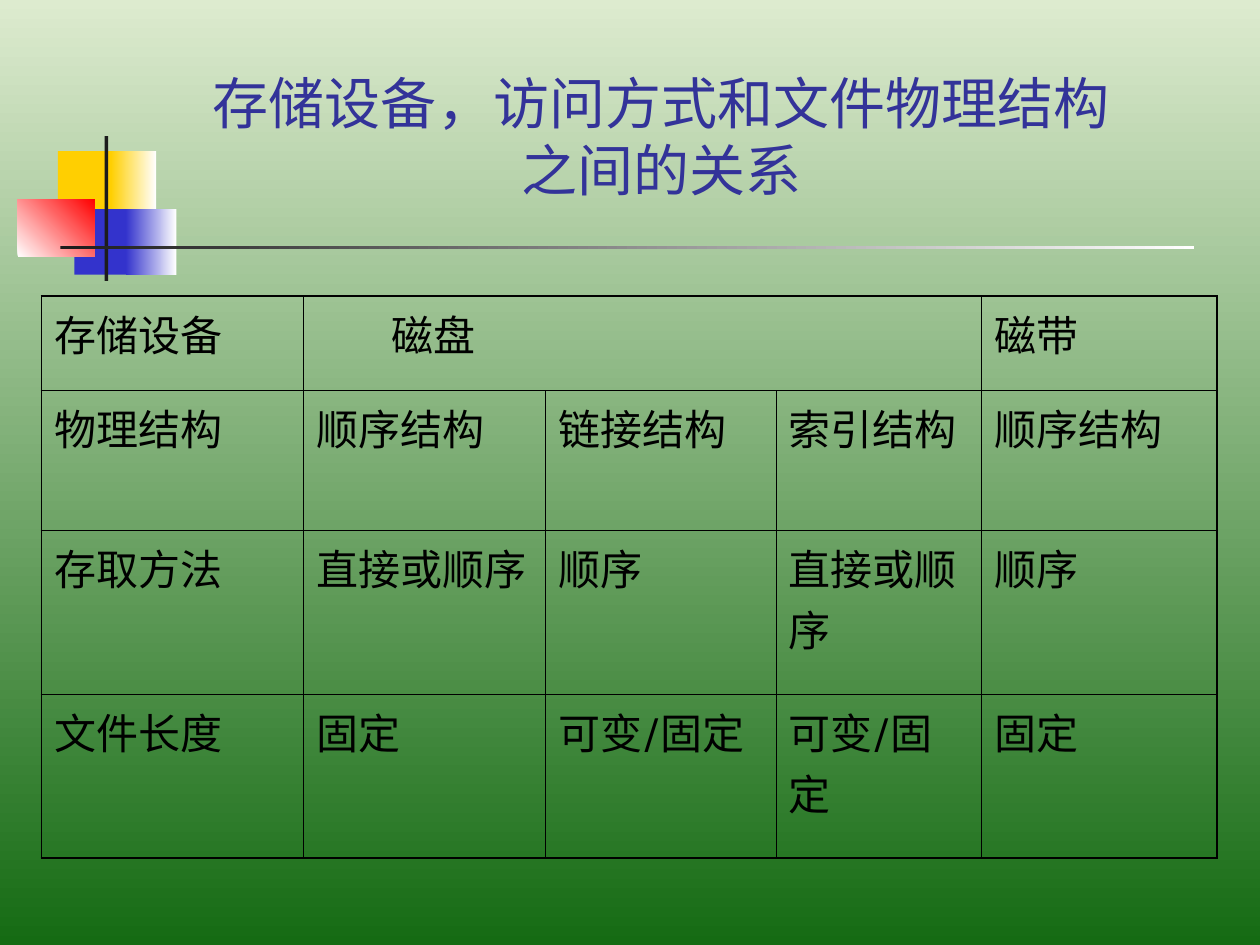
from lxml.etree import SubElement
from pptx import Presentation
from pptx.dml.color import RGBColor
from pptx.enum.shapes import MSO_SHAPE
from pptx.enum.text import MSO_ANCHOR, PP_ALIGN
from pptx.oxml.ns import qn
from pptx.util import Inches, Pt

FONT = "Karla"
BLACK = RGBColor(0x00, 0x00, 0x00)
WHITE = RGBColor(0xFF, 0xFF, 0xFF)
INDIGO = RGBColor(0x33, 0x33, 0x99)
YELLOW = RGBColor(0xFF, 0xCF, 0x01)
BLUE = RGBColor(0x33, 0x33, 0xCC)
RED = RGBColor(0xFF, 0x00, 0x00)
CHARCOAL = RGBColor(0x1C, 0x1C, 0x1C)
PALE_GREEN = RGBColor(0xDD, 0xEB, 0xCF)
DARK_GREEN = RGBColor(0x15, 0x6B, 0x13)

TITLE_LINES = ["存储设备，访问方式和文件物理结构", "之间的关系"]
COLUMN_WIDTHS = [2.08, 1.92, 1.83, 1.63, 1.87]
ROW_HEIGHTS = [0.75, 1.11, 1.3, 1.3]
ROWS = [
    ["存储设备", "磁盘", "", "", "磁带"],
    ["物理结构", "顺序结构", "链接结构", "索引结构", "顺序结构"],
    ["存取方法", "直接或顺序", "顺序", "直接或顺序", "顺序"],
    ["文件长度", "固定", "可变/固定", "可变/固定", "固定"],
]
OUTER_BORDER, INNER_BORDER = Pt(1.08), Pt(0.45)

# left, top, width, height, colours, counter-clockwise gradient angle
ORNAMENTS = [
    (0.46, 1.2, 0.48, 0.52, [YELLOW], 0),
    (0.88, 1.2, 0.36, 0.52, [YELLOW, WHITE], 0),
    (0.59, 1.66, 0.46, 0.52, [BLUE], 0),
    (1, 1.66, 0.4, 0.52, [BLUE, WHITE], 0),
    (0.14, 1.58, 0.61, 0.46, [WHITE, RED], 45),
    (0.83, 1.08, 0.03, 1.15, [CHARCOAL], 0),
    (0.48, 1.95, 9, 0.03, [CHARCOAL, WHITE], 0),
]


def paint(fill, colours, angle):
    """Fill with one solid colour, or with a gradient between two."""
    if len(colours) == 1:
        fill.solid()
        fill.fore_color.rgb = colours[0]
        return
    fill.gradient()
    fill.gradient_angle = angle
    for stop, position, colour in zip(fill.gradient_stops, (0, 1), colours):
        stop.position = position
        stop.color.rgb = colour


def add_ornament(slide, left, top, width, height, colours, angle):
    block = slide.shapes.add_shape(
        MSO_SHAPE.RECTANGLE, Inches(left), Inches(top), Inches(width), Inches(height))
    block.shadow.inherit = False
    block.line.fill.background()
    paint(block.fill, colours, angle)


def add_run(paragraph, text, size, colour):
    run = paragraph.add_run()
    run.text = text
    run.font.name = FONT
    run.font.size = Pt(size)
    run.font.color.rgb = colour


def add_title(slide):
    title = slide.shapes.add_textbox(
        Inches(1.29), Inches(0.6), Inches(7.92), Inches(1.06)).text_frame
    title.word_wrap = True
    title.vertical_anchor = MSO_ANCHOR.BOTTOM
    heading = title.paragraphs[0]
    heading.alignment = PP_ALIGN.CENTER
    for number, line in enumerate(TITLE_LINES):
        if number:
            heading.add_line_break()
        add_run(heading, line, 32, INDIGO)


def set_borders(cell, row, column):
    """Draw thick edges round the table and thin ones inside it."""
    on_edge = {
        "a:lnL": column == 0,
        "a:lnR": column == len(COLUMN_WIDTHS) - 1,
        "a:lnT": row == 0,
        "a:lnB": row == len(ROW_HEIGHTS) - 1,
    }
    properties = cell._tc.get_or_add_tcPr()
    for position, (tag, outer) in enumerate(on_edge.items()):
        border = SubElement(properties, qn(tag), w=str(OUTER_BORDER if outer else INNER_BORDER))
        SubElement(SubElement(border, qn("a:solidFill")), qn("a:srgbClr"), val=str(BLACK))
        properties.insert(position, border)


def add_comparison_table(slide):
    table = slide.shapes.add_table(
        len(ROW_HEIGHTS), len(COLUMN_WIDTHS), Inches(0.33), Inches(2.35),
        Inches(sum(COLUMN_WIDTHS)), Inches(sum(ROW_HEIGHTS))).table
    table.first_row = table.horz_banding = False
    for column, width in zip(table.columns, COLUMN_WIDTHS):
        column.width = Inches(width)
    for row, height in zip(table.rows, ROW_HEIGHTS):
        row.height = Inches(height)
    for r, texts in enumerate(ROWS):
        for c, text in enumerate(texts):
            cell = table.cell(r, c)
            cell.fill.background()
            set_borders(cell, r, c)
            if text:
                add_run(cell.text_frame.paragraphs[0], text, 24, BLACK)
    disk = table.cell(0, 1)
    disk.merge(table.cell(0, 3))
    disk.margin_left = Inches(0.7)


def main():
    presentation = Presentation()
    presentation.slide_width = Inches(10)
    presentation.slide_height = Inches(7.5)
    slide = presentation.slides.add_slide(presentation.slide_layouts[6])
    paint(slide.background.fill, [PALE_GREEN, DARK_GREEN], 270)
    for ornament in ORNAMENTS:
        add_ornament(slide, *ornament)
    add_title(slide)
    add_comparison_table(slide)
    presentation.save("out.pptx")


if __name__ == "__main__":
    main()
